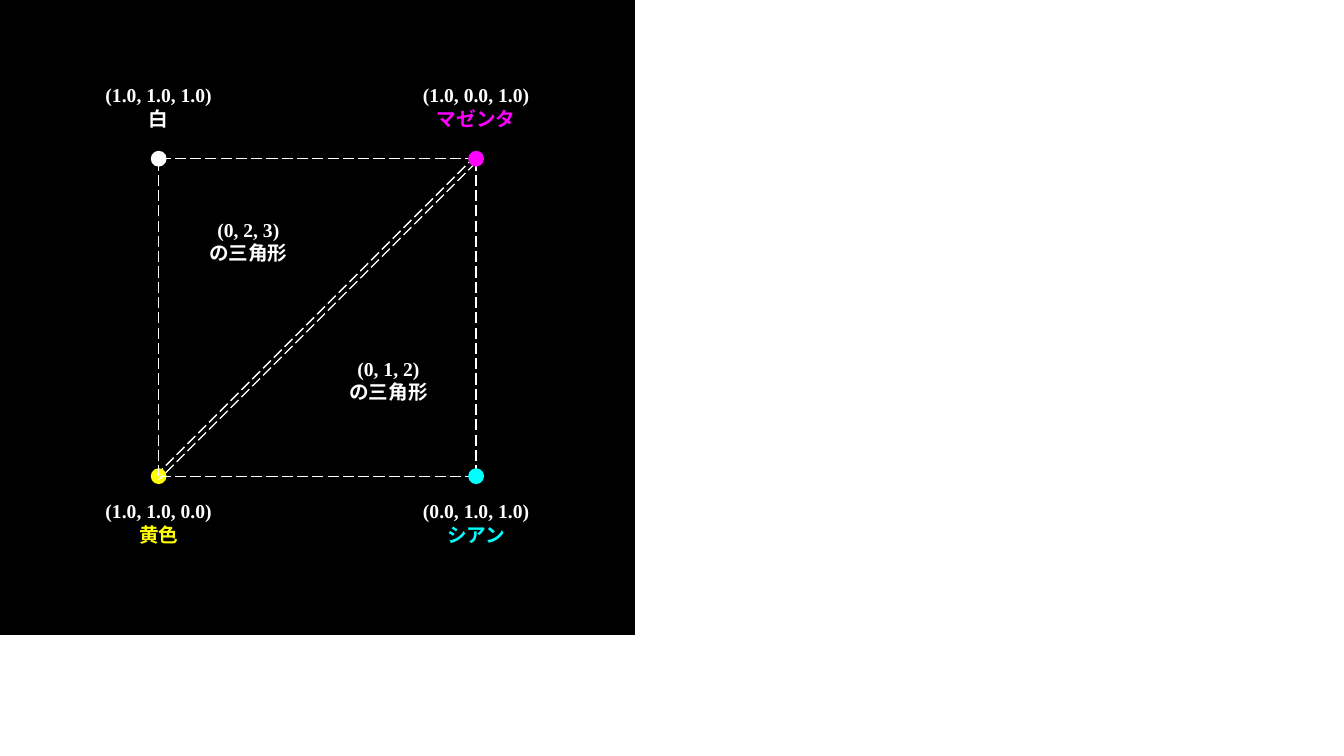
"""Draw a colour square split into two triangles with labelled vertices."""
from pptx import Presentation
from pptx.dml.color import RGBColor
from pptx.enum.dml import MSO_LINE
from pptx.enum.shapes import MSO_CONNECTOR, MSO_SHAPE
from pptx.enum.text import MSO_AUTO_SIZE, PP_ALIGN
from pptx.util import Cm, Pt
from lxml import etree
from pptx.oxml.ns import qn

WHITE, BLACK = "FFFFFF", "000000"
FONT = "Times New Roman"
CANVAS, NEAR, FAR = 16, 4, 12
DOT, GAP = 0.4, 0.09
LABEL_HEIGHT = 1.45
LABEL_CENTRE = {NEAR: 2.69, FAR: 13.18}

LEFT_VERTICES = [
    (NEAR, NEAR, "(1.0, 1.0, 1.0)", "白", WHITE),
    (NEAR, FAR, "(1.0, 1.0, 0.0)", "黄色", "FFFF00"),
]
RIGHT_VERTICES = [
    (FAR, NEAR, "(1.0, 0.0, 1.0)", "マゼンタ", "FF00FF"),
    (FAR, FAR, "(0.0, 1.0, 1.0)", "シアン", "00FFFF"),
]
TRIANGLES = [
    (9.79, 9.59, "(0, 1, 2)", "の三角形"),
    (6.26, 6.08, "(0, 2, 3)", "の三角形"),
]
BACK_EDGES = [
    (FAR, NEAR - GAP, NEAR, FAR - GAP),
    (FAR, NEAR, NEAR, NEAR),
]
FRONT_EDGES = [
    (NEAR, FAR, NEAR, NEAR),
    (FAR, FAR, NEAR, FAR),
    (FAR, FAR, FAR, NEAR),
    (FAR, NEAR + GAP, NEAR, FAR + GAP),
]


def rgb(colour):
    return RGBColor.from_string(colour)


def add_filled(slide, kind, left, top, size, colour):
    shape = slide.shapes.add_shape(kind, Cm(left), Cm(top), Cm(size), Cm(size))
    shape.shadow.inherit = False
    shape.fill.solid()
    shape.fill.fore_color.rgb = rgb(colour)
    shape.line.fill.background()


def add_edges(slide, edges):
    for edge in edges:
        connector = slide.shapes.add_connector(MSO_CONNECTOR.STRAIGHT, *map(Cm, edge))
        connector.line.color.rgb = rgb(WHITE)
        connector.line.width = Pt(1)
        connector.line.dash_style = MSO_LINE.LONG_DASH
        etree.SubElement(connector._element.spPr, qn("a:effectLst"))


def add_dots(slide, vertices):
    for x, y, _, _, colour in vertices:
        add_filled(slide, MSO_SHAPE.OVAL, x - DOT / 2, y - DOT / 2, DOT, colour)


def add_label(slide, x, y, width, values, name, colour=WHITE):
    box = slide.shapes.add_textbox(
        Cm(x - width / 2), Cm(y - LABEL_HEIGHT / 2), Cm(width), Cm(LABEL_HEIGHT))
    frame = box.text_frame
    frame.word_wrap = False
    frame.auto_size = MSO_AUTO_SIZE.SHAPE_TO_FIT_TEXT
    frame.text = f"{values}\n{name}"
    for paragraph, text_colour in zip(frame.paragraphs, (WHITE, colour)):
        paragraph.alignment = PP_ALIGN.CENTER
        font = paragraph.runs[0].font
        font.name = FONT
        font.size = Pt(14)
        font.bold = True
        font.color.rgb = rgb(text_colour)


def main():
    presentation = Presentation()
    presentation.slide_width, presentation.slide_height = Cm(33.87), Cm(19.05)
    slide = presentation.slides.add_slide(presentation.slide_layouts[6])

    add_filled(slide, MSO_SHAPE.RECTANGLE, 0, 0, CANVAS, BLACK)
    add_edges(slide, BACK_EDGES)
    add_dots(slide, LEFT_VERTICES)
    for x, y, values, name, colour in LEFT_VERTICES + RIGHT_VERTICES:
        add_label(slide, x, LABEL_CENTRE[y], 3.2, values, name, colour)
    add_edges(slide, FRONT_EDGES)
    for x, y, values, name in TRIANGLES:
        add_label(slide, x, y, 2.5, values, name)
    add_dots(slide, RIGHT_VERTICES)

    presentation.save("out.pptx")


if __name__ == "__main__":
    main()
